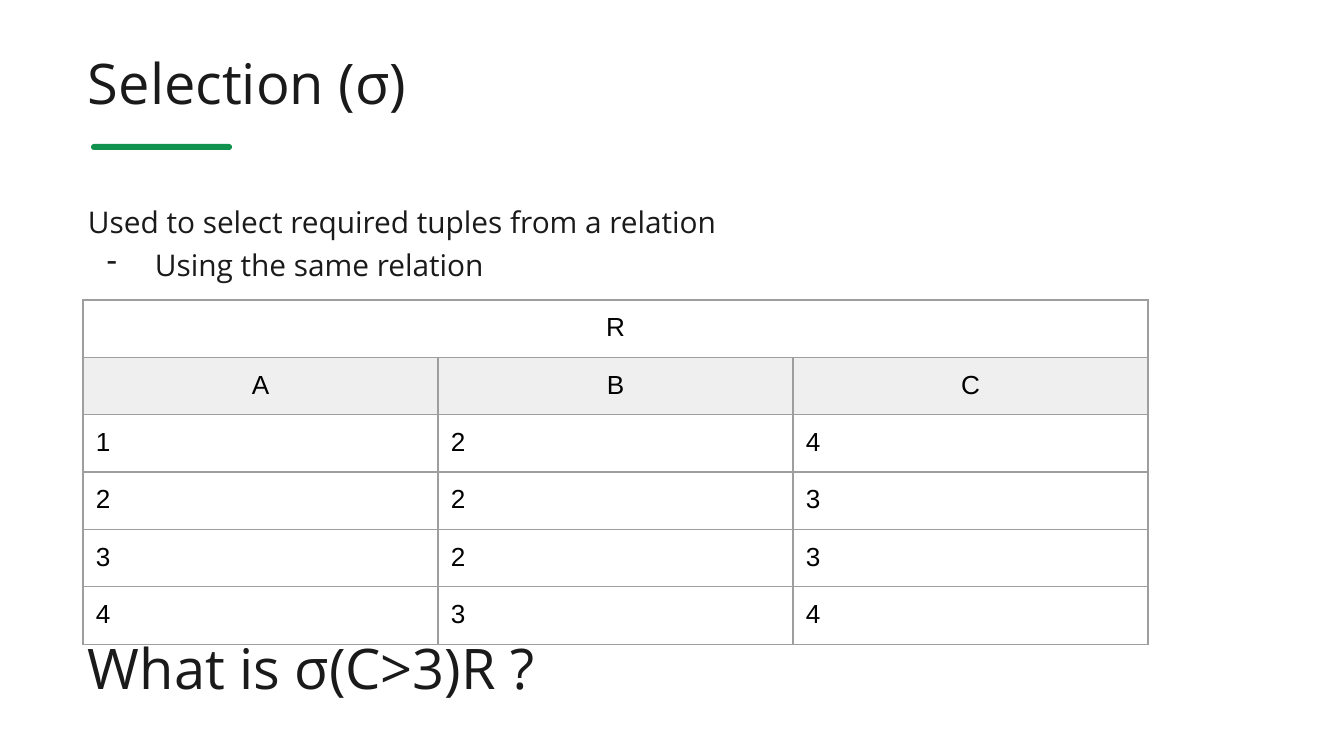
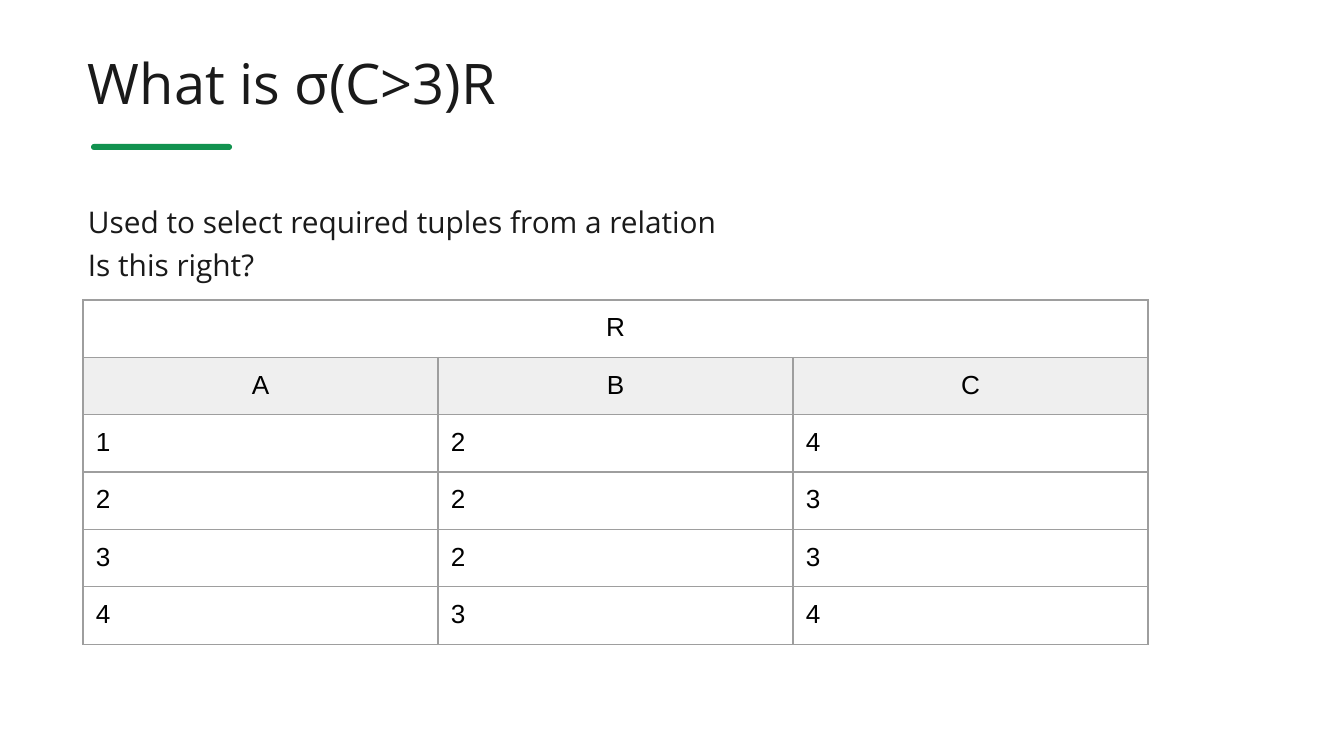
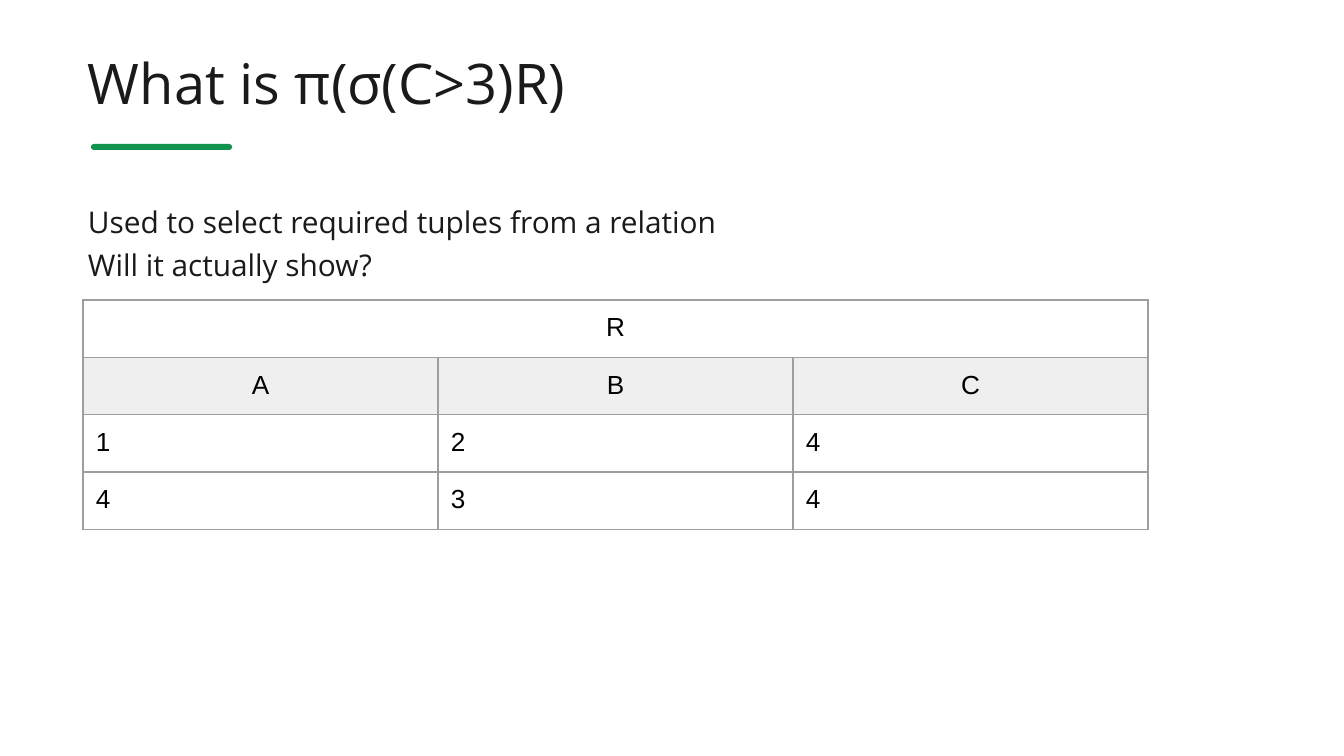
import pptx
import pptx.dml.color
import pptx.enum.shapes
import pptx.enum.text
import pptx.oxml
import pptx.oxml.ns
import pptx.util
import lxml.etree

EMU_PER_PIXEL = 914400 / 134.4
COLORS = {
    "background": "FFFFFF",
    "accent": "12924F",
    "text": "1A1A1A",
    "cell text": "000000",
    "header fill": "EFEFEF",
    "border": "9E9E9E",
}
TEXT_FONT, TABLE_FONT = "Open Sans", "Arial"
TITLE_SIZE, BODY_SIZE, TABLE_SIZE = 30, 16, 14
TEXT_LEFT, TEXT_INSET = 83, 5
TABLE_TOP, COLUMN_WIDTH, ROW_HEIGHT, CELL_INSET = 300, 355, 56, 13
BORDER_WIDTH = 0.75

INTRODUCTION = "Used to select required tuples from a relation"
ATTRIBUTES = ["A", "B", "C"]
RELATION = [[1, 2, 4], [2, 2, 3], [3, 2, 3], [4, 3, 4]]
SELECTED = [row for row in RELATION if row[2] > 3]

# title, second line, whether that line is a dash item, closing question, tuples
SLIDES = [
    ("Selection (σ)", "Using the same relation", True, "What is σ(C>3)R ?", RELATION),
    ("What is σ(C>3)R", "Is this right?", False, None, RELATION),
    ("What is π(σ(C>3)R)", "Will it actually show?", False, None, SELECTED),
]


def pixels(length):
    """Turn pixels into EMU."""
    return pptx.util.Emu(round(length * EMU_PER_PIXEL))


def add_text(paragraph, text, size, font_name=TEXT_FONT, color="text"):
    """Add one styled run to a paragraph."""
    run = paragraph.add_run()
    run.text = text
    run.font.name = font_name
    run.font.size = pptx.util.Pt(size)
    run.font.color.rgb = pptx.dml.color.RGBColor.from_string(COLORS[color])


presentation = pptx.Presentation()
presentation.slide_width = pixels(1344)
presentation.slide_height = pixels(756)

for title, second_line, is_dash_item, question, tuples in SLIDES:
    slide = presentation.slides.add_slide(presentation.slide_layouts[6])
    slide.background.fill.solid()
    slide.background.fill.fore_color.rgb = pptx.dml.color.RGBColor.from_string(COLORS["background"])

    # Accent bar under the title
    bar = slide.shapes.add_shape(
        pptx.enum.shapes.MSO_SHAPE.ROUNDED_RECTANGLE,
        pixels(91), pixels(144), pixels(141), pixels(6))
    bar.adjustments[0] = 0.5
    bar.shadow.inherit = False
    bar.fill.solid()
    bar.fill.fore_color.rgb = pptx.dml.color.RGBColor.from_string(COLORS["accent"])
    bar.line.fill.background()

    # Title and body boxes
    frames = []
    for top, width, height in [(44, 874, 76), (195, 1149, 435)]:
        box = slide.shapes.add_textbox(
            pixels(TEXT_LEFT), pixels(top), pixels(width), pixels(height))
        frame = box.text_frame
        frame.word_wrap = True
        frame.margin_left = frame.margin_right = pixels(TEXT_INSET)
        frame.margin_top = frame.margin_bottom = pixels(TEXT_INSET)
        frames.append(frame)
    title_frame, body_frame = frames
    add_text(title_frame.paragraphs[0], title, TITLE_SIZE)

    paragraph = body_frame.paragraphs[0]
    paragraph.line_spacing = 1.1
    add_text(paragraph, INTRODUCTION, BODY_SIZE)

    paragraph = body_frame.add_paragraph()
    paragraph.line_spacing = 1.1
    paragraph.space_before = pptx.util.Pt(2)
    add_text(paragraph, second_line, BODY_SIZE)
    if is_dash_item:
        properties = paragraph._p.get_or_add_pPr()
        properties.set("marL", str(pixels(67)))
        properties.set("indent", str(pixels(-48)))
        bullet_color = lxml.etree.SubElement(properties, pptx.oxml.ns.qn("a:buClr"))
        lxml.etree.SubElement(bullet_color, pptx.oxml.ns.qn("a:srgbClr"), val=COLORS["text"])
        lxml.etree.SubElement(properties, pptx.oxml.ns.qn("a:buChar"), char="-")

    if question:
        # The space leaves room for the table
        paragraph = body_frame.add_paragraph()
        paragraph.space_before = pptx.util.Pt(188)
        add_text(paragraph, question, TITLE_SIZE)

    # Relation table: name, attributes, tuples
    rows = [["R", "", ""], ATTRIBUTES] + tuples
    table = slide.shapes.add_table(
        len(rows), len(ATTRIBUTES), pixels(TEXT_LEFT), pixels(TABLE_TOP),
        pixels(COLUMN_WIDTH * len(ATTRIBUTES)), pixels(ROW_HEIGHT * len(rows))).table
    table.first_row = False
    table.horz_banding = False
    table.cell(0, 0).merge(table.cell(0, len(ATTRIBUTES) - 1))

    for row_index, row in enumerate(rows):
        for column_index, value in enumerate(row):
            cell = table.cell(row_index, column_index)
            cell.margin_left = cell.margin_right = pixels(CELL_INSET)
            cell.margin_top = cell.margin_bottom = pixels(CELL_INSET)

            cell_properties = cell._tc.get_or_add_tcPr()
            for side in ["a:lnL", "a:lnR", "a:lnT", "a:lnB"]:
                border = lxml.etree.SubElement(
                    cell_properties, pptx.oxml.ns.qn(side), w=str(pptx.util.Pt(BORDER_WIDTH)))
                border_fill = lxml.etree.SubElement(border, pptx.oxml.ns.qn("a:solidFill"))
                lxml.etree.SubElement(
                    border_fill, pptx.oxml.ns.qn("a:srgbClr"), val=COLORS["border"])

            if row_index == 1:
                cell.fill.solid()
                cell.fill.fore_color.rgb = pptx.dml.color.RGBColor.from_string(COLORS["header fill"])
            else:
                cell.fill.background()

            if cell.is_spanned:
                continue
            paragraph = cell.text_frame.paragraphs[0]
            if row_index < 2:
                paragraph.alignment = pptx.enum.text.PP_ALIGN.CENTER
            add_text(paragraph, str(value), TABLE_SIZE, TABLE_FONT, "cell text")

presentation.save("out.pptx")
